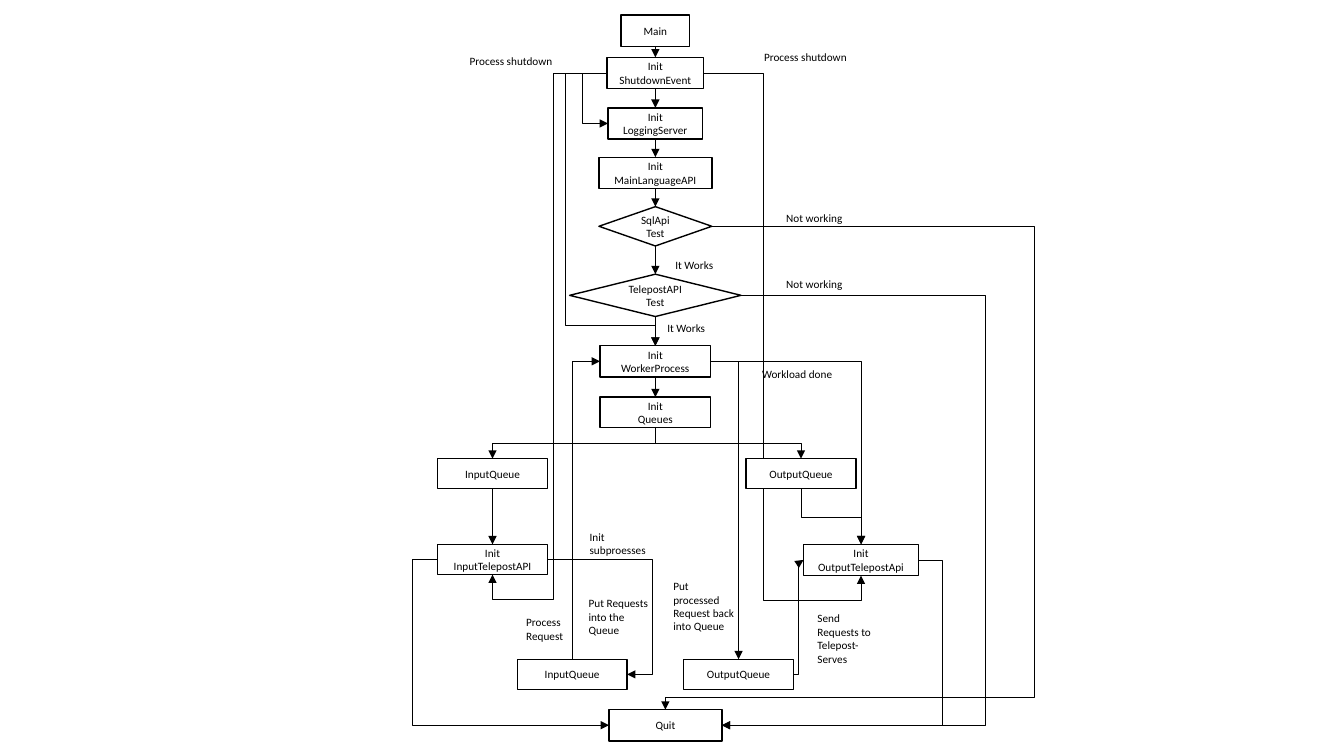
import pptx
import pptx.dml.color
import pptx.enum.shapes
import pptx.enum.text
import pptx.oxml
import pptx.oxml.ns
import pptx.util

BLACK = pptx.dml.color.RGBColor(0, 0, 0)
WHITE = pptx.dml.color.RGBColor(255, 255, 255)
FONT = "Calibri"
COLUMNS, ROWS = 65, 75
TOP, LEFT, BOTTOM, RIGHT = range(4)
RECTANGLE = pptx.enum.shapes.MSO_SHAPE.RECTANGLE
DECISION = pptx.enum.shapes.MSO_SHAPE.FLOWCHART_DECISION

STEPS = {
    "main": ("Main", RECTANGLE, 21.6, 1.5, 6.8, 3.1),
    "shutdown": ("Init ShutdownEvent", RECTANGLE, 20.2, 5.7, 9.6, 3.1),
    "logging": ("Init LoggingServer", RECTANGLE, 20.3, 10.7, 9.4, 3.1),
    "language": ("Init MainLanguageAPI", RECTANGLE, 19.4, 15.6, 11.2, 3.1),
    "sql test": ("SqlApi\nTest", DECISION, 19.4, 20.5, 11.2, 3.9),
    "chat test": ("TelepostAPI\nTest", DECISION, 16.5, 27.2, 17, 4.2),
    "worker": ("Init\nWorkerProcess", RECTANGLE, 19.5, 34.3, 11, 3.1),
    "queues": ("Init\nQueues", RECTANGLE, 19.5, 39.4, 11, 3),
    "input queue": ("InputQueue", RECTANGLE, 3.4, 45.5, 10.9, 3),
    "output queue": ("OutputQueue", RECTANGLE, 34, 45.5, 10.9, 3),
    "input api": ("Init\nInputTelepostAPI", RECTANGLE, 3.4, 54, 10.9, 3),
    "output api": ("Init\nOutputTelepostApi", RECTANGLE, 39.7, 54, 11.4, 3.1),
    "requests": ("InputQueue", RECTANGLE, 11.3, 65.4, 10.9, 3),
    "results": ("OutputQueue", RECTANGLE, 27.8, 65.4, 10.9, 3),
    "quit": ("Quit", RECTANGLE, 20.4, 70.4, 11.2, 3.1),
}
CHAINS = [
    ["main", "shutdown", "logging", "language", "sql test", "chat test", "worker", "queues"],
    ["input queue", "input api"],
]
ROUTES = [
    ("shutdown", LEFT, "logging", LEFT, [17.7]),
    ("shutdown", LEFT, "worker", TOP, [16.1, 32.3]),
    ("shutdown", LEFT, "input api", BOTTOM, [14.9, 59.5]),
    ("shutdown", RIGHT, "output api", BOTTOM, [35.7, 59.6]),
    ("sql test", RIGHT, "quit", TOP, [62.6, 69.2]),
    ("chat test", RIGHT, "quit", RIGHT, [57.7]),
    ("worker", RIGHT, "results", TOP, []),
    ("worker", RIGHT, "output api", TOP, []),
    ("queues", BOTTOM, "input queue", TOP, [44]),
    ("queues", BOTTOM, "output queue", TOP, [44]),
    ("output queue", BOTTOM, "output api", TOP, [51.3]),
    ("input api", LEFT, "quit", LEFT, [0.9]),
    ("input api", RIGHT, "requests", RIGHT, [24.7]),
    ("output api", RIGHT, "quit", RIGHT, [53.5]),
    ("requests", TOP, "worker", LEFT, []),
    ("results", RIGHT, "output api", LEFT, [39.2]),
]
LABELS = [
    ("Process shutdown", 5.6, 4.9, 10.9, 2.4),
    ("Process shutdown", 34.8, 4.5, 10.7, 2.4),
    ("Not working", 37, 20.5, 7.6, 2.4),
    ("It Works", 26, 25.1, 6.6, 2.4),
    ("Not working", 37, 27, 7.6, 2.4),
    ("It Works", 25.2, 31.4, 6.6, 2.4),
    ("Workload done", 34.6, 36, 10, 2.4),
    ("Init subproesses", 17.5, 52.1, 8.3, 3.7),
    ("Put Requests into the Queue", 17.4, 58.7, 8.3, 5),
    ("Process Request", 11.2, 60.6, 8.3, 3.7),
    ("Put processed Request back into Queue", 25.8, 57, 8.3, 6.4),
    ("Send Requests to Telepost-Serves", 40.1, 60.2, 8.3, 6.4),
]


def write(shape, text, alignment):
    frame = shape.text_frame
    frame.word_wrap = True
    paragraph = frame.paragraphs[0]
    paragraph.alignment = alignment
    for index, line in enumerate(text.split("\n")):
        if index:
            paragraph.add_line_break()
        run = paragraph.add_run()
        run.text = line
        run.font.size = pptx.util.Pt(8)
        run.font.name = FONT
        run.font.color.rgb = BLACK


def add_step(slide, text, kind, place):
    shape = slide.shapes.add_shape(kind, *place)
    shape.shadow.inherit = False
    shape.fill.solid()
    shape.fill.fore_color.rgb = WHITE
    shape.line.color.rgb = BLACK
    shape.line.width = pptx.util.Pt(1)
    shape.text_frame.vertical_anchor = pptx.enum.text.MSO_ANCHOR.MIDDLE
    write(shape, text, pptx.enum.text.PP_ALIGN.CENTER)
    return shape


def add_label(slide, text, place):
    shape = slide.shapes.add_textbox(*place)
    write(shape, text, pptx.enum.text.PP_ALIGN.LEFT)
    shape.text_frame.auto_size = pptx.enum.text.MSO_AUTO_SIZE.SHAPE_TO_FIT_TEXT


def site(shape, side):
    across, down = {TOP: (1, 0), LEFT: (0, 1), BOTTOM: (1, 2), RIGHT: (2, 1)}[side]
    return shape.left + shape.width * across // 2, shape.top + shape.height * down // 2


def add_link(slide, begin, begin_side, end, end_side, kind):
    start, finish = site(begin, begin_side), site(end, end_side)
    connector = slide.shapes.add_connector(kind, *start, *finish)
    connector.begin_connect(begin, begin_side)
    connector.end_connect(end, end_side)
    connector.line.color.rgb = BLACK
    connector.line.width = pptx.util.Pt(0.5)
    line = connector.line._get_or_add_ln()
    pptx.oxml.ns.qn("a:tailEnd")
    line.append(pptx.oxml.parse_xml(
        f'<a:tailEnd {pptx.oxml.ns.nsdecls("a")} type="triangle"/>'))
    connector.element.spPr.append(pptx.oxml.parse_xml(
        f'<a:effectLst {pptx.oxml.ns.nsdecls("a")}/>'))
    return connector, start, finish


def turn_upright(connector, start, finish):
    across, down = finish[0] - start[0], finish[1] - start[1]
    connector.width, connector.height = abs(down), abs(across)
    connector.left = (start[0] + finish[0] - abs(down)) // 2
    connector.top = (start[1] + finish[1] - abs(across)) // 2
    frame = connector.element.spPr.xfrm
    frame.set("rot", str((270 if across > 0 and down > 0 else 90) * 60000))
    frame.set("flipH", str(int(across > 0)))
    frame.set("flipV", str(int(down < 0)))


def add_route(slide, begin, begin_side, end, end_side, bends):
    connector, start, finish = add_link(
        slide, begin, begin_side, end, end_side, pptx.enum.shapes.MSO_CONNECTOR.ELBOW)
    first_axis = int(begin_side in (TOP, BOTTOM))
    if first_axis:
        turn_upright(connector, start, finish)
    geometry = connector.element.spPr.find(pptx.oxml.ns.qn("a:prstGeom"))
    geometry.set("prst", f"bentConnector{len(bends) + 2}")
    guides = geometry.find(pptx.oxml.ns.qn("a:avLst"))
    for index, bend in enumerate(bends):
        axis = (first_axis + index) % 2
        share = (bend[axis] - start[axis]) / (finish[axis] - start[axis])
        guides.append(pptx.oxml.parse_xml(
            f'<a:gd {pptx.oxml.ns.nsdecls("a")} name="adj{index + 1 if len(bends) > 1 else 1}" '
            f'fmla="val {round(share * 100000)}"/>'))


def add_flowchart(slide, left, top, width, height):
    def locate(column, row):
        return round(left + column * width / COLUMNS), round(top + row * height / ROWS)

    def place(column, row, columns, rows):
        return (*locate(column, row), round(columns * width / COLUMNS), round(rows * height / ROWS))

    steps = {name: add_step(slide, text, kind, place(*cells))
             for name, (text, kind, *cells) in STEPS.items()}
    for chain in CHAINS:
        for upper, lower in zip(chain, chain[1:]):
            add_link(slide, steps[upper], BOTTOM, steps[lower], TOP,
                     pptx.enum.shapes.MSO_CONNECTOR.STRAIGHT)
    for begin, begin_side, end, end_side, bends in ROUTES:
        add_route(slide, steps[begin], begin_side, steps[end], end_side,
                  [locate(bend, bend) for bend in bends])
    for step in steps.values():
        step.element.getparent().append(step.element)
    for text, *cells in LABELS:
        add_label(slide, text, place(*cells))


presentation = pptx.Presentation()
presentation.slide_width = pptx.util.Inches(13.33)
presentation.slide_height = pptx.util.Inches(7.5)
flow_slide = presentation.slides.add_slide(presentation.slide_layouts[6])
add_flowchart(flow_slide, pptx.util.Inches(4), 0, pptx.util.Inches(6.5), presentation.slide_height)
presentation.save("out.pptx")
